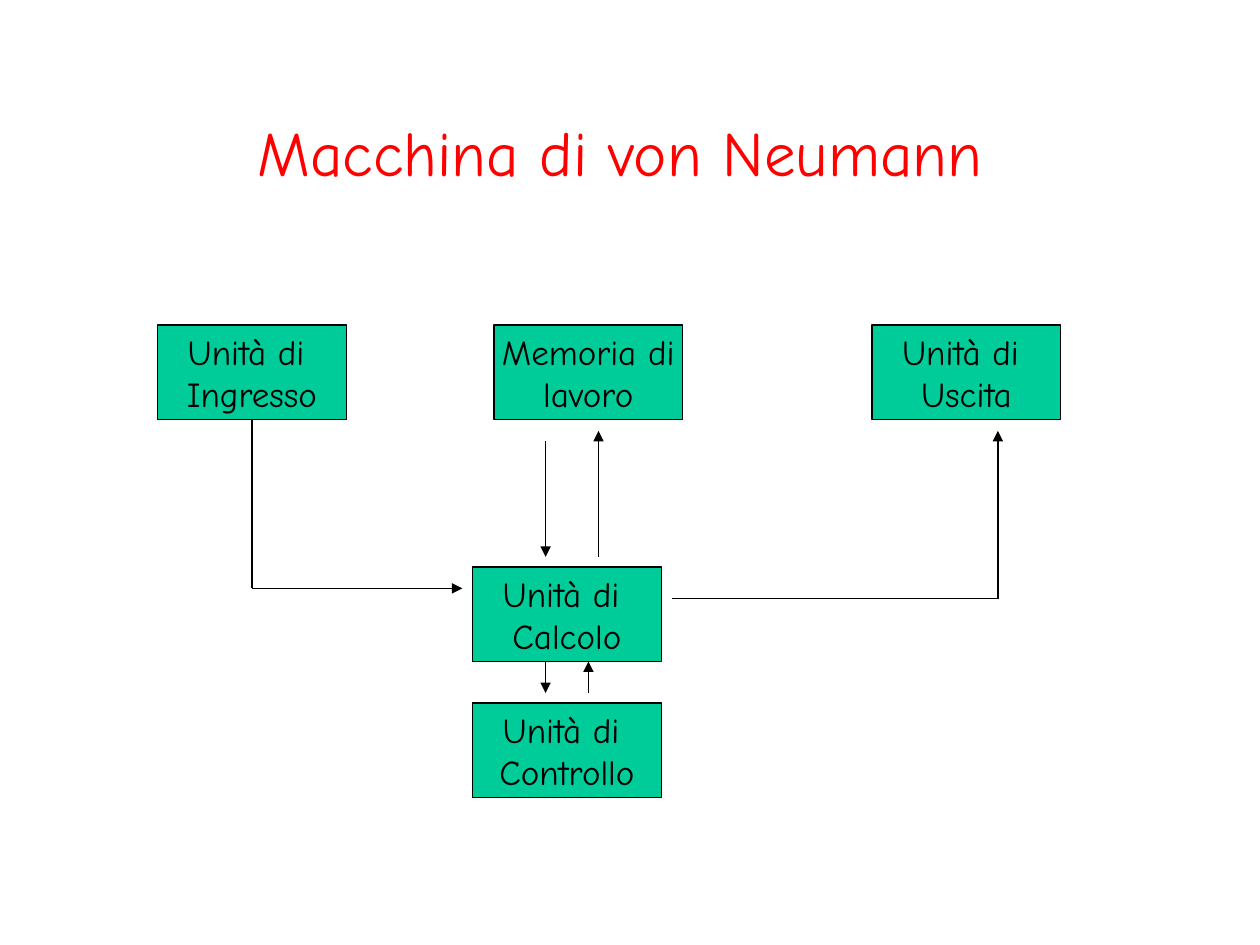
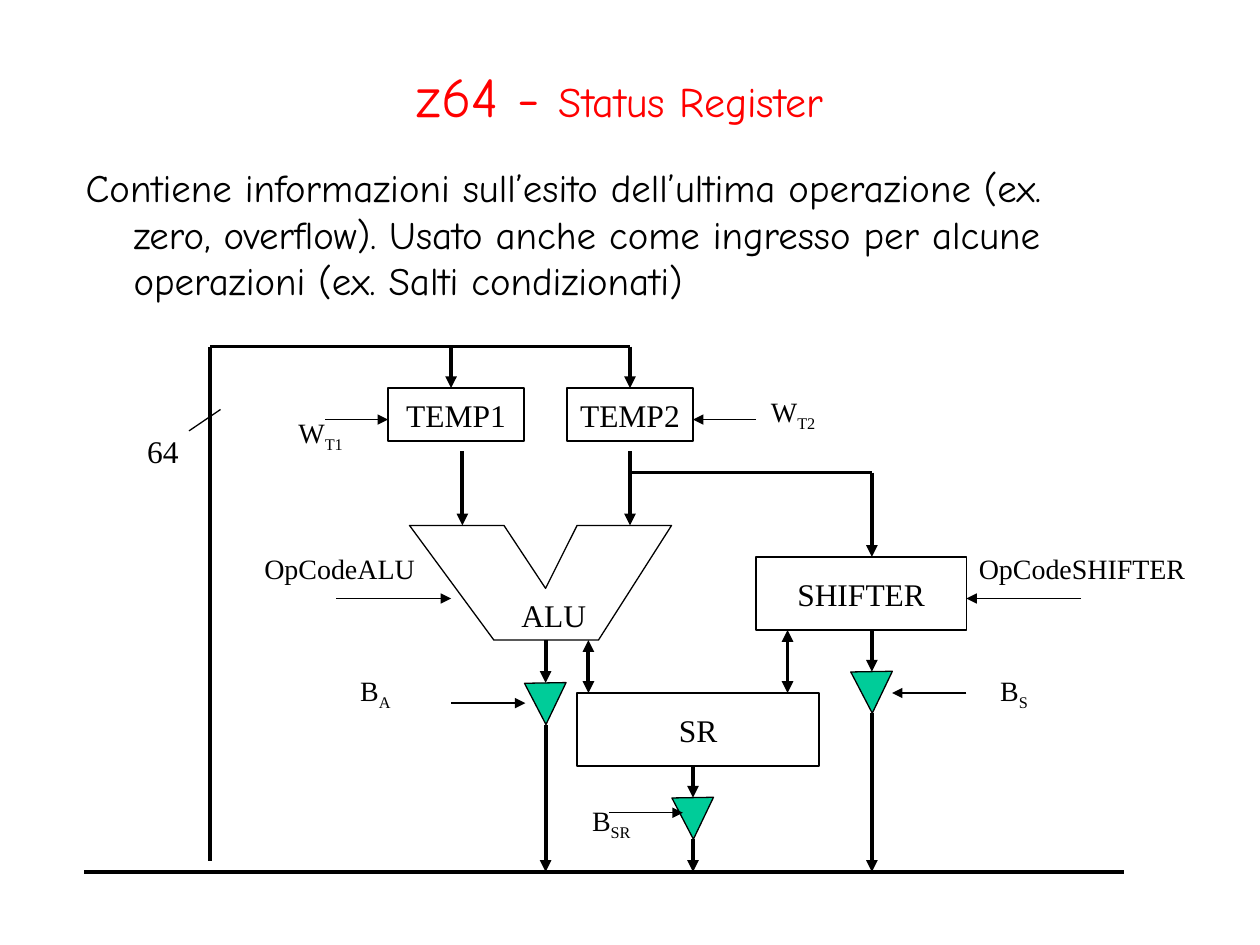
import dataclasses

import lxml.etree
import pptx
import pptx.dml.color
import pptx.enum.shapes
import pptx.enum.text
import pptx.oxml.ns
import pptx.util

Inches = pptx.util.Inches
Pt = pptx.util.Pt
Shape = pptx.enum.shapes.MSO_SHAPE
Align = pptx.enum.text.PP_ALIGN
Anchor = pptx.enum.text.MSO_ANCHOR
AutoSize = pptx.enum.text.MSO_AUTO_SIZE


def rgb(value):
    return pptx.dml.color.RGBColor.from_string(value)


def add_element(parent, tag, **attributes):
    return lxml.etree.SubElement(parent, pptx.oxml.ns.qn(tag), attributes)


@dataclasses.dataclass(frozen=True)
class Theme:
    red: str = "FF0000"
    green: str = "00CC99"
    white: str = "FFFFFF"
    black: str = "000000"
    hand_font: str = "Comic Neue"
    label_font: str = "Times New Roman"
    title_size: float = 36
    register_title_size: float = 32
    subtitle_size: float = 24
    body_size: float = 22.2
    unit_size: float = 20
    block_size: float = 18
    signal_size: float = 16
    thin: float = 0.75
    thick: float = 2.25


class Painter:
    def __init__(self, deck, theme):
        self.deck = deck
        self.theme = theme
        self.page = None

    def new_page(self, layout):
        self.page = self.deck.slides.add_slide(self.deck.slide_layouts[layout])

    def span(self, para, text, size, font, color=None, subscript=False):
        span = para.add_run()
        span.text = text
        span.font.size = Pt(size)
        span.font.name = font
        span.font.color.rgb = rgb(color or self.theme.black)
        if subscript:
            span.font._element.set("baseline", "-25000")

    def place(self, box, left, top, width, height):
        box.left, box.top = Inches(left), Inches(top)
        box.width, box.height = Inches(width), Inches(height)
        box.text_frame.auto_size = AutoSize.NONE

    def title(self, top, height, *parts):
        box = self.page.shapes.title
        self.place(box, 0.67, top, 8.5, height)
        box.text_frame.vertical_anchor = Anchor.MIDDLE
        para = box.text_frame.paragraphs[0]
        para.alignment = Align.CENTER
        for text, size in parts:
            self.span(para, text, size, self.theme.hand_font, self.theme.red)

    def body(self, text):
        box = self.page.placeholders[1]
        self.place(box, 0.58, 1.25, 8.5, 1.25)
        para = box.text_frame.paragraphs[0]
        properties = para._p.get_or_add_pPr()
        properties.set("marL", str(Inches(0.38)))
        properties.set("indent", str(Inches(-0.38)))
        add_element(properties, "a:buNone")
        para.space_before = Pt(0)
        self.span(para, text, self.theme.body_size, self.theme.hand_font)

    def style(self, shape, fill):
        shape.shadow.inherit = False
        if fill:
            shape.fill.solid()
            shape.fill.fore_color.rgb = rgb(fill)
        else:
            shape.fill.background()
        shape.line.color.rgb = rgb(self.theme.black)
        shape.line.width = Pt(self.theme.thin)

    def block(self, left, top, width, height, lines, fill, size, font):
        box = self.page.shapes.add_shape(
            Shape.RECTANGLE, Inches(left), Inches(top), Inches(width), Inches(height))
        self.style(box, fill)
        frame = box.text_frame
        frame.word_wrap = False
        frame.vertical_anchor = Anchor.MIDDLE
        for index, line in enumerate(lines):
            para = frame.add_paragraph() if index else frame.paragraphs[0]
            para.alignment = Align.CENTER
            self.span(para, line, size, font)

    def unit(self, left, top, *lines):
        self.block(left, top, 1.5, 0.75, lines, self.theme.green,
                   self.theme.unit_size, self.theme.hand_font)

    def component(self, left, top, width, height, name):
        self.block(left, top, width, height, [name], self.theme.white,
                   self.theme.block_size, self.theme.label_font)

    def buffer(self, center, top):
        size = 0.33
        shape = self.page.shapes.add_shape(
            Shape.ISOSCELES_TRIANGLE, Inches(center - size / 2), Inches(top),
            Inches(size), Inches(size))
        shape.rotation = 179.1
        self.style(shape, self.theme.green)

    def outline(self, *points):
        corners = [(Inches(x), Inches(y)) for x, y in points]
        builder = self.page.shapes.build_freeform(*corners[0])
        builder.add_line_segments(corners[1:], close=True)
        self.style(builder.convert_to_shape(), None)

    def label(self, left, top, width, height, text, size, subscript=""):
        box = self.page.shapes.add_textbox(
            Inches(left), Inches(top), Inches(width), Inches(height))
        box.text_frame.word_wrap = False
        box.text_frame.auto_size = AutoSize.SHAPE_TO_FIT_TEXT
        para = box.text_frame.paragraphs[0]
        self.span(para, text, size, self.theme.label_font)
        if subscript:
            self.span(para, subscript, size, self.theme.label_font, subscript=True)

    def wire(self, *points, width=None, start=False, end=True):
        last = len(points) - 2
        for index, (first, second) in enumerate(zip(points, points[1:])):
            line = self.page.shapes.add_connector(
                pptx.enum.shapes.MSO_CONNECTOR.STRAIGHT,
                *(Inches(value) for value in first + second))
            line.line.color.rgb = rgb(self.theme.black)
            line.line.width = Pt(width or self.theme.thin)
            stroke = line.line._get_or_add_ln()
            if start and index == 0:
                add_element(stroke, "a:headEnd", type="triangle")
            if end and index == last:
                add_element(stroke, "a:tailEnd", type="triangle")
            add_element(line._element.spPr, "a:effectLst")

    def bus(self, *points, start=False, end=True):
        self.wire(*points, width=self.theme.thick, start=start, end=end)


def draw_von_neumann(painter):
    painter.new_page(5)
    painter.title(0.58, 1.25, ("Macchina di von Neumann", painter.theme.title_size))
    painter.unit(3.75, 4.5, "Unità di ", "Calcolo")
    painter.unit(3.75, 5.58, "Unità di ", "Controllo")
    painter.unit(3.92, 2.58, "Memoria di", "lavoro")
    painter.unit(1.25, 2.58, "Unità di ", "Ingresso")
    painter.unit(6.92, 2.58, "Unità di ", "Uscita")

    painter.wire((2, 3.33), (2, 4.67), (3.67, 4.67))
    painter.wire((5.33, 4.75), (7.92, 4.75), (7.92, 3.42))
    for x, start, end in ((4.33, 3.5, 4.42), (4.75, 4.42, 3.42),
                          (4.33, 5.25, 5.5), (4.67, 5.5, 5.25)):
        painter.wire((x, start), (x, end))


def draw_status_register(painter):
    theme = painter.theme
    alu_out, sr_out, shifter_out = 4.33, 5.5, 6.92
    temp1_in, temp2_axis = 3.58, 5
    bus_top, bus_bottom = 2.75, 6.92

    painter.new_page(1)
    painter.title(0.42, 0.67, ("z64 - ", theme.register_title_size),
                  ("Status Register", theme.subtitle_size))
    painter.body("Contiene informazioni sull’esito dell’ultima operazione (ex. zero, "
                 "overflow). Usato anche come ingresso per alcune operazioni "
                 "(ex. Salti condizionati)")

    painter.component(3.08, 3.08, 1.08, 0.42, "TEMP1")
    painter.component(4.5, 3.08, 1, 0.42, "TEMP2")
    painter.component(6, 4.42, 1.67, 0.58, "SHIFTER")
    painter.component(4.58, 5.5, 1.92, 0.58, "SR")
    painter.outline((3.25, 4.17), (4, 4.17), (alu_out, 4.67), (4.58, 4.17),
                    (5.33, 4.17), (4.75, 5.08), (3.92, 5.08))

    painter.bus((0.67, bus_bottom), (8.92, bus_bottom), end=False)
    painter.bus((1.67, 6.83), (1.67, bus_top), (temp2_axis, bus_top), (temp2_axis, 3.08))
    painter.bus((temp1_in, bus_top), (temp1_in, 3.08))
    for x in (3.67, temp2_axis):
        painter.bus((x, 3.58), (x, 4.17))
    painter.bus((temp2_axis, 3.75), (shifter_out, 3.75), (shifter_out, 4.42))
    for x, top in ((6.25, 5), (4.67, 5.08)):
        painter.bus((x, top), (x, 5.5), start=True)

    for x, top, buffer_top in ((alu_out, 5.08, 5.42), (sr_out, 6.08, 6.33),
                               (shifter_out, 5, 5.33)):
        painter.bus((x, top), (x, buffer_top))
        painter.buffer(x, buffer_top)
        painter.bus((x, buffer_top + 0.33), (x, bus_bottom))

    for start, end, y in ((2.58, 3.08, 3.33), (6, 5.5, 3.33), (2.67, 3.58, 4.75),
                          (8.58, 7.67, 4.75), (3.58, 4.17, 5.58), (7.67, 7.08, 5.5),
                          (4.83, 5.42, 6.45)):
        painter.wire((start, y), (end, y))
    painter.wire((1.75, 3.25), (1.5, 3.42), end=False)

    for left, top, width, text, subscript in (
            (2.27, 3.25, 0.59, "W", "T1"), (6.02, 3.08, 0.59, "W", "T2"),
            (2.76, 5.3, 0.48, "B", "A"), (7.84, 5.3, 0.46, "B", "S"),
            (4.6, 6.33, 0.55, "B", "SR")):
        painter.label(left, top, width, 0.41, text, theme.signal_size, subscript)
    painter.label(2, 4.33, 1.44, 0.37, "OpCodeALU", theme.signal_size)
    painter.label(7.67, 4.33, 1.88, 0.37, "OpCodeSHIFTER", theme.signal_size)
    painter.label(4.04, 4.68, 0.76, 0.4, "ALU", theme.block_size)
    painter.label(1.07, 3.38, 0.49, 0.4, "64", theme.block_size)


def main():
    deck = pptx.Presentation()
    deck.slide_width, deck.slide_height = Inches(10), Inches(7.5)
    painter = Painter(deck, Theme())
    draw_von_neumann(painter)
    draw_status_register(painter)
    deck.save("out.pptx")


if __name__ == "__main__":
    main()
